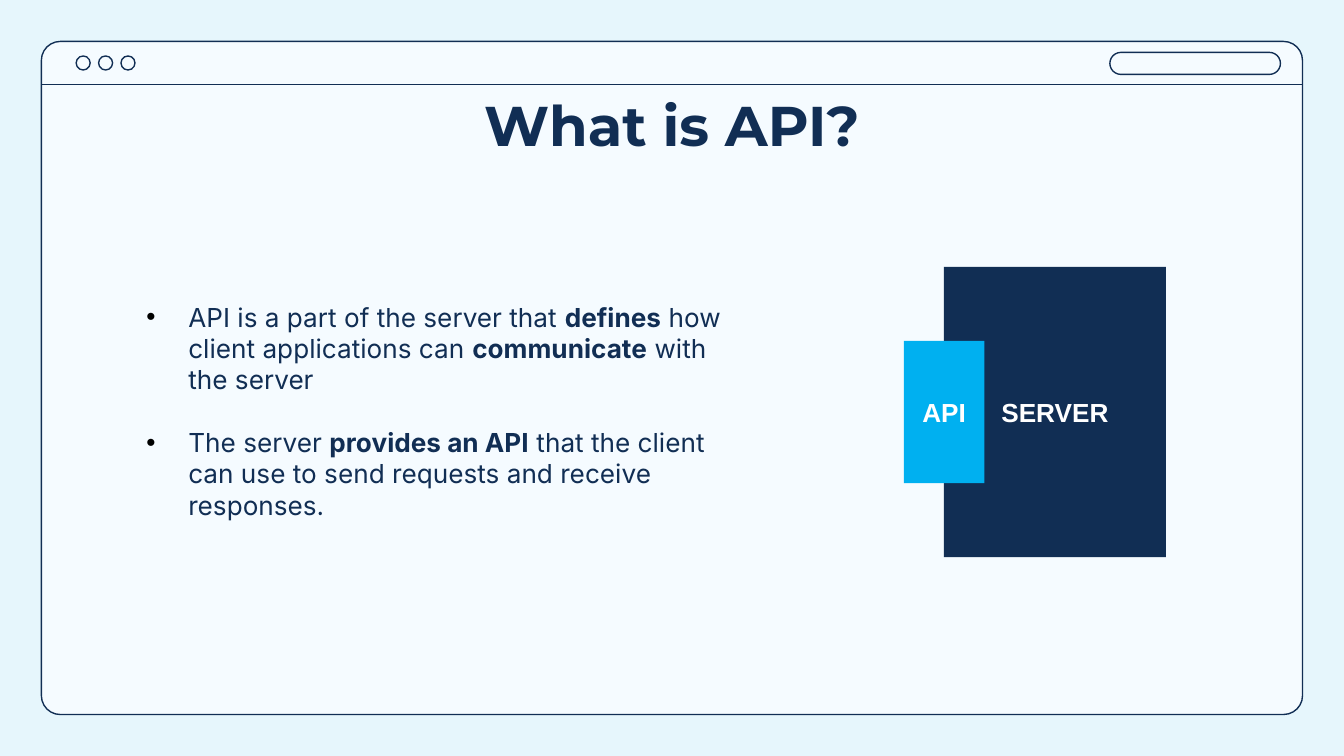
from lxml.etree import SubElement
from pptx import Presentation
from pptx.dml.color import RGBColor
from pptx.enum.shapes import MSO_CONNECTOR, MSO_SHAPE
from pptx.enum.text import MSO_ANCHOR, MSO_AUTO_SIZE, PP_ALIGN
from pptx.oxml.ns import qn
from pptx.util import Pt

COLORS = {"background": "E6F6FC", "window": "F5FBFF", "navy": "112E54",
          "blue": "00B0F0", "white": "FFFFFF", "bullet": "000000"}

TITLE = "What is API?"
BULLETS = [
    [("API is a part of the server that ", False), ("defines", True),
     (" how client applications can ", False), ("communicate", True),
     (" with the server", False)],
    [("The server ", False), ("provides an API", True),
     (" that the client can use to send requests and receive responses.", False)],
]
BLOCKS = [
    ("SERVER", "navy", (505.7, 143, 118.9, 155.5)),
    ("API", "blue", (484.2, 182.6, 43.2, 76.3)),
]

WIDTH, HEIGHT, MARGIN = 720, 405, 22.2
BAR_BOTTOM = 45.2
BUTTON_LEFT, BUTTON_TOP, BUTTON_SIZE, BUTTON_PITCH = 40.8, 30, 7.5, 12
INDENT = 22.5


def color(name):
    return RGBColor.from_string(COLORS[name])


def points(values):
    return [Pt(value) for value in values]


def assign(target, **values):
    for name, value in values.items():
        setattr(target, name, value)


def add_span(para, text, font, size, ink, bold):
    span = para.add_run()
    span.text = text
    assign(span.font, name=font, size=Pt(size), bold=bold)
    span.font.color.rgb = color(ink)


def add_block(page, kind, frame, fill=None, line=None, corner=None):
    shape = page.shapes.add_shape(kind, *points(frame))
    shape.shadow.inherit = False
    if fill:
        shape.fill.solid()
        shape.fill.fore_color.rgb = color(fill)
    else:
        shape.fill.background()
    if line:
        shape.line.color.rgb = color(line)
        shape.line.width = Pt(0.75)
    else:
        shape.line.fill.background()
    if corner is not None:
        shape.adjustments[0] = corner
    return shape


def add_window(page):
    add_block(page, MSO_SHAPE.ROUNDED_RECTANGLE,
              (MARGIN, MARGIN, WIDTH - 2 * MARGIN, HEIGHT - 2 * MARGIN),
              "window", "navy", 0.028)
    for index in range(3):
        left = BUTTON_LEFT + index * BUTTON_PITCH
        add_block(page, MSO_SHAPE.OVAL,
                  (left, BUTTON_TOP, BUTTON_SIZE, BUTTON_SIZE), line="navy")
    add_block(page, MSO_SHAPE.ROUNDED_RECTANGLE, (594.6, 28.1, 91.4, 11.8),
              line="navy", corner=0.5)
    divider = page.shapes.add_connector(
        MSO_CONNECTOR.STRAIGHT,
        *points((MARGIN, BAR_BOTTOM, WIDTH - MARGIN, BAR_BOTTOM)))
    divider.line.color.rgb = color("navy")
    divider.line.width = Pt(0.75)
    SubElement(divider._element.spPr, qn("a:effectLst"))


def format_title(page):
    title = page.shapes.title
    left, top, width, height = points((56.7, 41.4, 606.6, 45.4))
    assign(title, left=left, top=top, width=width, height=height)
    inset = Pt(7.2)
    assign(title.text_frame, word_wrap=True, auto_size=MSO_AUTO_SIZE.NONE,
           vertical_anchor=MSO_ANCHOR.TOP, margin_left=inset,
           margin_right=inset, margin_top=inset, margin_bottom=inset)
    para = title.text_frame.paragraphs[0]
    assign(para, alignment=PP_ALIGN.CENTER, line_spacing=1.0, space_before=Pt(0))
    add_span(para, TITLE, "Montserrat", 30, "navy", True)
    page.shapes._spTree.append(title._element)


def add_bullet(para):
    properties = para._p.get_or_add_pPr()
    properties.set("marL", str(Pt(INDENT)))
    properties.set("indent", str(-Pt(INDENT)))
    paint = SubElement(properties, qn("a:buClr"))
    SubElement(paint, qn("a:srgbClr"), val=COLORS["bullet"])
    SubElement(properties, qn("a:buFont"), typeface="Arial")
    SubElement(properties, qn("a:buChar"), char="•")


def add_bullets(page):
    box = page.shapes.add_textbox(*points((71.3, 157.7, 327.6, 126)))
    frame = box.text_frame
    frame.word_wrap = True
    for index, spans in enumerate(BULLETS):
        para = frame.add_paragraph() if index else frame.paragraphs[0]
        para.space_before = Pt(16.8 if index else 0)
        add_bullet(para)
        for text, bold in spans:
            add_span(para, text, "Inter", 14, "navy", bold)


def add_diagram(page):
    for label, fill, frame in BLOCKS:
        block = add_block(page, MSO_SHAPE.RECTANGLE, frame, fill)
        block.text_frame.vertical_anchor = MSO_ANCHOR.MIDDLE
        para = block.text_frame.paragraphs[0]
        para.alignment = PP_ALIGN.CENTER
        add_span(para, label, "Arial", 14, "white", True)


def main():
    deck = Presentation()
    assign(deck, slide_width=Pt(WIDTH), slide_height=Pt(HEIGHT))
    page = deck.slides.add_slide(deck.slide_layouts.get_by_name("Title Only"))
    page.background.fill.solid()
    page.background.fill.fore_color.rgb = color("background")
    add_window(page)
    format_title(page)
    add_bullets(page)
    add_diagram(page)
    deck.save("out.pptx")


if __name__ == "__main__":
    main()
